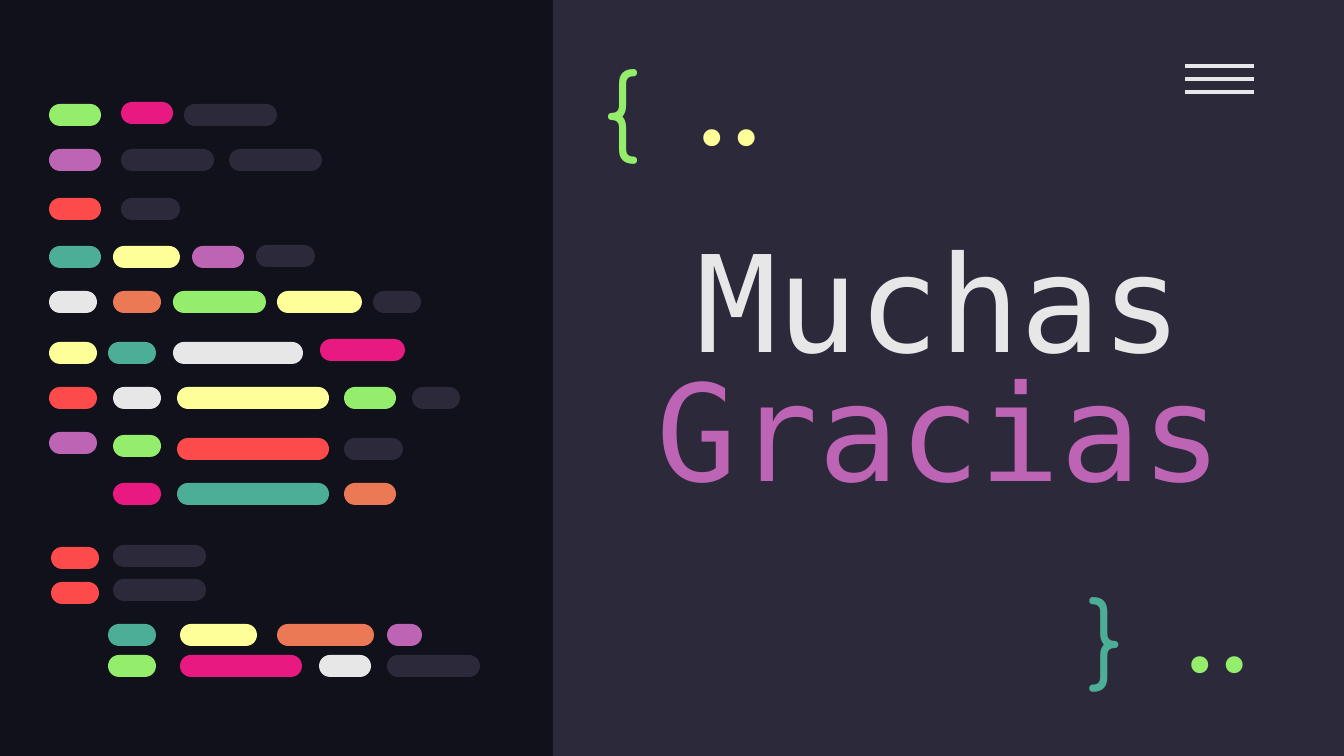
from lxml.etree import SubElement
from pptx import Presentation
from pptx.dml.color import RGBColor
from pptx.enum.shapes import MSO_CONNECTOR, MSO_SHAPE
from pptx.enum.text import MSO_ANCHOR, MSO_AUTO_SIZE, PP_ALIGN
from pptx.oxml.ns import qn
from pptx.util import Pt

SCALE = 914400 / 134.4
NIGHT, SLATE, WHITE = "10111A", "2C293A", "E7E7E7"
GREEN, PINK, PURPLE, RED = "94EE6B", "E81A81", "BD64B5", "FD4A4A"
TEAL, YELLOW, ORANGE = "4CAE97", "FFFF99", "EC7955"
BAR_HEIGHT = 22

CODE_LINES = [
    (104, [(49, 52, GREEN), (184, 93, SLATE)]),
    (102, [(121, 52, PINK)]),
    (149, [(49, 52, PURPLE), (121, 93, SLATE), (229, 93, SLATE)]),
    (198, [(49, 52, RED), (121, 59, SLATE)]),
    (246, [(49, 52, TEAL), (113, 67, YELLOW), (192, 52, PURPLE)]),
    (245, [(256, 59, SLATE)]),
    (291, [(49, 48, WHITE), (113, 48, ORANGE), (173, 93, GREEN),
           (277, 85, YELLOW), (373, 48, SLATE)]),
    (342, [(49, 48, YELLOW), (108, 48, TEAL), (173, 130, WHITE)]),
    (339, [(320, 85, PINK)]),
    (387, [(49, 48, RED), (113, 48, WHITE), (177, 152, YELLOW),
           (344, 52, GREEN), (412, 48, SLATE)]),
    (432, [(49, 48, PURPLE)]),
    (435, [(113, 48, GREEN)]),
    (438, [(177, 152, RED), (344, 59, SLATE)]),
    (483, [(113, 48, PINK), (177, 152, TEAL), (344, 52, ORANGE)]),
    (547, [(51, 48, RED)]),
    (545, [(113, 93, SLATE)]),
    (582, [(51, 48, RED)]),
    (579, [(113, 93, SLATE)]),
    (624, [(108, 48, TEAL), (180, 77, YELLOW), (277, 97, ORANGE),
           (387, 35, PURPLE)]),
    (655, [(108, 48, GREEN), (180, 122, PINK), (319, 52, WHITE),
           (387, 93, SLATE)]),
]


def px(n):
    """Turn pixels into EMU."""
    return round(n * SCALE)


def rgb(color):
    """Turn a hex string into a colour."""
    return RGBColor.from_string(color)


def add_block(s, kind, x, y, w, h, color):
    """Add a filled shape without an outline."""
    sp = s.shapes.add_shape(kind, px(x), px(y), px(w), px(h))
    sp.shadow.inherit = False
    sp.fill.solid()
    sp.fill.fore_color.rgb = rgb(color)
    sp.line.fill.background()
    return sp


def add_code(s):
    """Draw the rows of rounded bars that stand for code."""
    for y, bars in CODE_LINES:
        for x, w, color in bars:
            sp = add_block(s, MSO_SHAPE.ROUNDED_RECTANGLE, x, y, w, BAR_HEIGHT, color)
            sp.adjustments[0] = 0.5


def add_menu(s, x, y, w, gap):
    """Draw the three lines of the menu icon."""
    for i in range(3):
        line_y = px(y + i * gap)
        line = s.shapes.add_connector(MSO_CONNECTOR.STRAIGHT, px(x), line_y, px(x + w), line_y)
        line.line.color.rgb = rgb(WHITE)
        line.line.width = Pt(2.25)
        SubElement(line.element.spPr, qn("a:effectLst"))


def set_frame(tf, anchor):
    """Give a text frame its wrapping, insets and anchor."""
    tf.word_wrap = True
    tf.auto_size = MSO_AUTO_SIZE.NONE
    tf.vertical_anchor = anchor
    tf.margin_left = tf.margin_right = tf.margin_top = tf.margin_bottom = px(13)


def add_run(p, text, font, size, color):
    """Add one formatted run to a paragraph."""
    r = p.add_run()
    r.text = text
    r.font.name = font
    r.font.size = Pt(size)
    r.font.color.rgb = rgb(color)


def add_symbol(s, text, x, y, w, h, font, color, anchor, align):
    """Add a text box with a large code symbol."""
    tf = s.shapes.add_textbox(px(x), px(y), px(w), px(h)).text_frame
    set_frame(tf, anchor)
    p = tf.paragraphs[0]
    p.alignment = align
    add_run(p, text, font, 50, color)


def add_brace(s, text, x, y, w, h, color):
    """Add a curly brace."""
    add_symbol(s, text, x, y, w, h, "Comfortaa", color, MSO_ANCHOR.TOP, PP_ALIGN.LEFT)


def add_dots(s, x, y, color):
    """Add a pair of dots."""
    add_symbol(s, "..", x, y, 144, 81, "Fira Code", color, MSO_ANCHOR.MIDDLE, PP_ALIGN.RIGHT)


def set_title(s):
    """Place the two-colour title in front of the panel."""
    title = s.shapes.title
    title.element.getparent().append(title.element)
    title.left, title.top, title.width, title.height = px(640), px(192), px(599), px(372)
    set_frame(title.text_frame, MSO_ANCHOR.MIDDLE)
    p = title.text_frame.paragraphs[0]
    p.alignment = PP_ALIGN.CENTER
    p.line_spacing = 0.8
    for text, color in [("Muchas ", WHITE), ("Gracias", PURPLE)]:
        add_run(p, text, "DejaVu Sans Mono", 72, color)


def main():
    """Build the closing slide."""
    prs = Presentation()
    prs.slide_width, prs.slide_height = px(1344), px(756)
    s = prs.slides.add_slide(prs.slide_layouts[5])
    s.background.fill.solid()
    s.background.fill.fore_color.rgb = rgb(NIGHT)
    add_block(s, MSO_SHAPE.RECTANGLE, 553, 0, 791, 756, SLATE)
    add_menu(s, 1185, 66, 69, 13)
    set_title(s)
    add_code(s)
    add_brace(s, "{", 590, 36, 103, 128, GREEN)
    add_brace(s, "}", 1075, 564, 77, 112, TEAL)
    add_dots(s, 1144, 595, GREEN)
    add_dots(s, 656, 68, YELLOW)
    prs.save("out.pptx")


if __name__ == "__main__":
    main()
